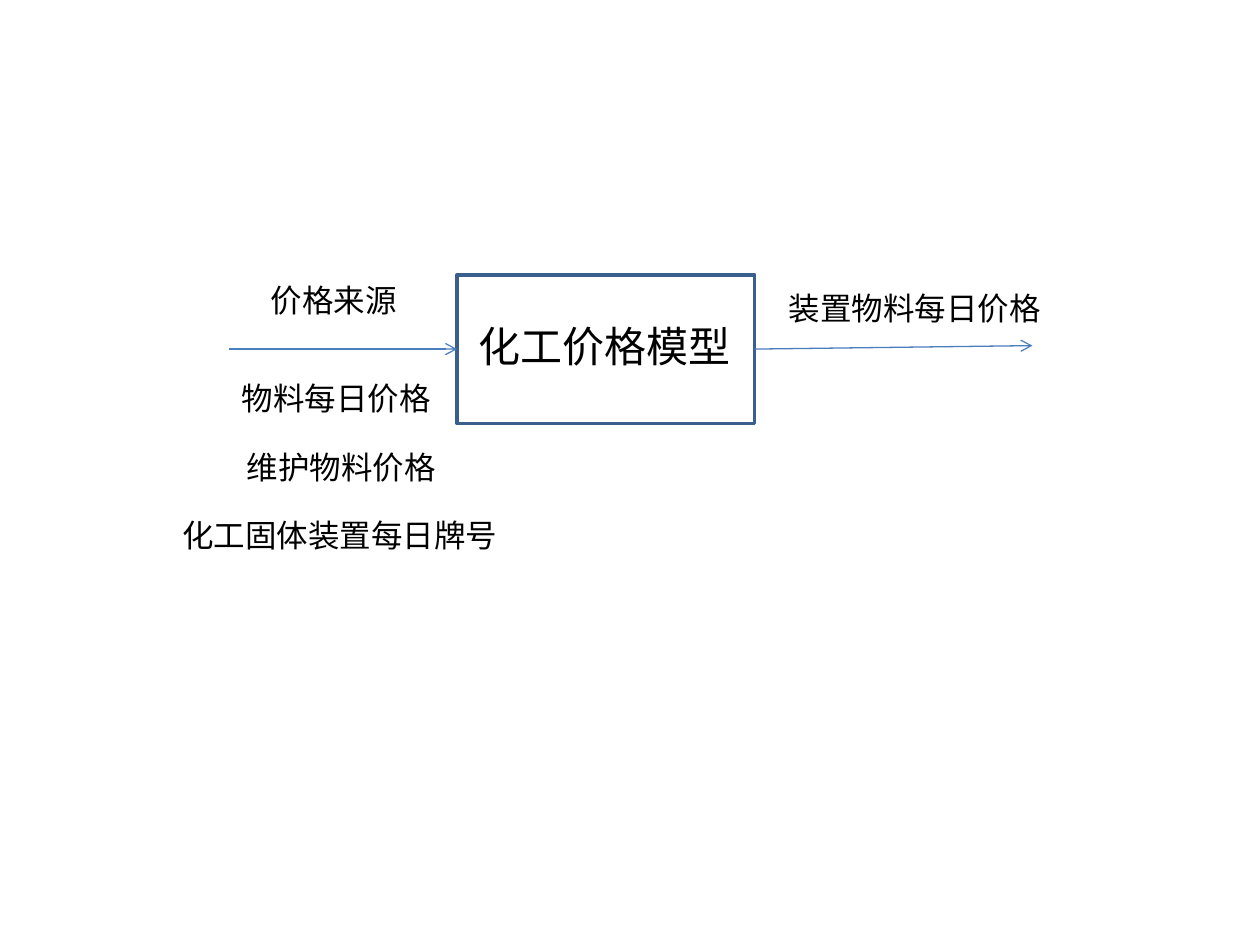
from dataclasses import dataclass

from lxml import etree
from pptx import Presentation
from pptx.dml.color import RGBColor
from pptx.enum.shapes import MSO_CONNECTOR, MSO_SHAPE
from pptx.enum.text import MSO_AUTO_SIZE
from pptx.oxml.ns import qn
from pptx.util import Pt

RECTANGLE = MSO_SHAPE.RECTANGLE
STRAIGHT = MSO_CONNECTOR.STRAIGHT
FIT_SHAPE = MSO_AUTO_SIZE.SHAPE_TO_FIT_TEXT


@dataclass(frozen=True)
class Theme:
    font: str = "Calibri"
    text: RGBColor = RGBColor(0x00, 0x00, 0x00)
    border: RGBColor = RGBColor(0x3A, 0x5F, 0x8C)
    arrow: RGBColor = RGBColor(0x4B, 0x7E, 0xBC)
    model_size: float = 24
    label_size: float = 18
    border_width: float = 2
    arrow_width: float = 0.75


THEME = Theme()

MODEL = "化工价格模型"
SOURCE = ("价格来源", 147.5, 157)
INPUTS = [("物料每日价格", 131), ("维护物料价格", 134), ("化工固体装置每日牌号", 97)]
OUTPUT = ("装置物料每日价格", 443.5, 161.5)

BOX_LEFT, BOX_TOP, BOX_WIDTH, BOX_HEIGHT = 261.2, 157, 170, 85
BOX_RIGHT = BOX_LEFT + BOX_WIDTH
BOX_MIDDLE = BOX_TOP + BOX_HEIGHT / 2
INPUT_TOP, INPUT_PITCH = 213, 39.3
ARROWS = [
    ((131, BOX_MIDDLE), (BOX_LEFT, BOX_MIDDLE)),
    ((BOX_RIGHT, BOX_MIDDLE), (590, BOX_MIDDLE - 2)),
]


def text_extent(text, size):
    return len(text) * size + 15.5, size * 1.2 + 7.2


def add_label(slide, text, left, top, size=THEME.label_size):
    width, height = text_extent(text, size)
    label = slide.shapes.add_textbox(Pt(left), Pt(top), Pt(width), Pt(height))
    frame = label.text_frame
    frame.word_wrap = False
    frame.auto_size = FIT_SHAPE
    paragraph = frame.paragraphs[0]
    paragraph.text = text
    paragraph.font.name = THEME.font
    paragraph.font.size = Pt(size)
    paragraph.font.color.rgb = THEME.text


def add_model(slide):
    box = slide.shapes.add_shape(
        RECTANGLE, Pt(BOX_LEFT), Pt(BOX_TOP), Pt(BOX_WIDTH), Pt(BOX_HEIGHT)
    )
    box.shadow.inherit = False
    box.fill.background()
    box.line.color.rgb = THEME.border
    box.line.width = Pt(THEME.border_width)
    width, height = text_extent(MODEL, THEME.model_size)
    left = BOX_LEFT + (BOX_WIDTH - width) / 2
    top = BOX_MIDDLE - 2 - height / 2
    add_label(slide, MODEL, left, top, THEME.model_size)


def add_arrow(slide, start, end):
    arrow = slide.shapes.add_connector(STRAIGHT, *map(Pt, start + end))
    arrow.line.color.rgb = THEME.arrow
    arrow.line.width = Pt(THEME.arrow_width)
    properties = arrow.element.spPr
    etree.SubElement(properties.find(qn("a:ln")), qn("a:tailEnd"), type="arrow")
    etree.SubElement(properties, qn("a:effectLst"))


def main():
    deck = Presentation()
    deck.slide_width, deck.slide_height = Pt(720), Pt(540)
    slide = deck.slides.add_slide(deck.slide_layouts[6])
    add_model(slide)
    for start, end in ARROWS:
        add_arrow(slide, start, end)
    add_label(slide, *SOURCE)
    for row, (text, left) in enumerate(INPUTS):
        add_label(slide, text, left, INPUT_TOP + row * INPUT_PITCH)
    add_label(slide, *OUTPUT)
    deck.save("out.pptx")


if __name__ == "__main__":
    main()
